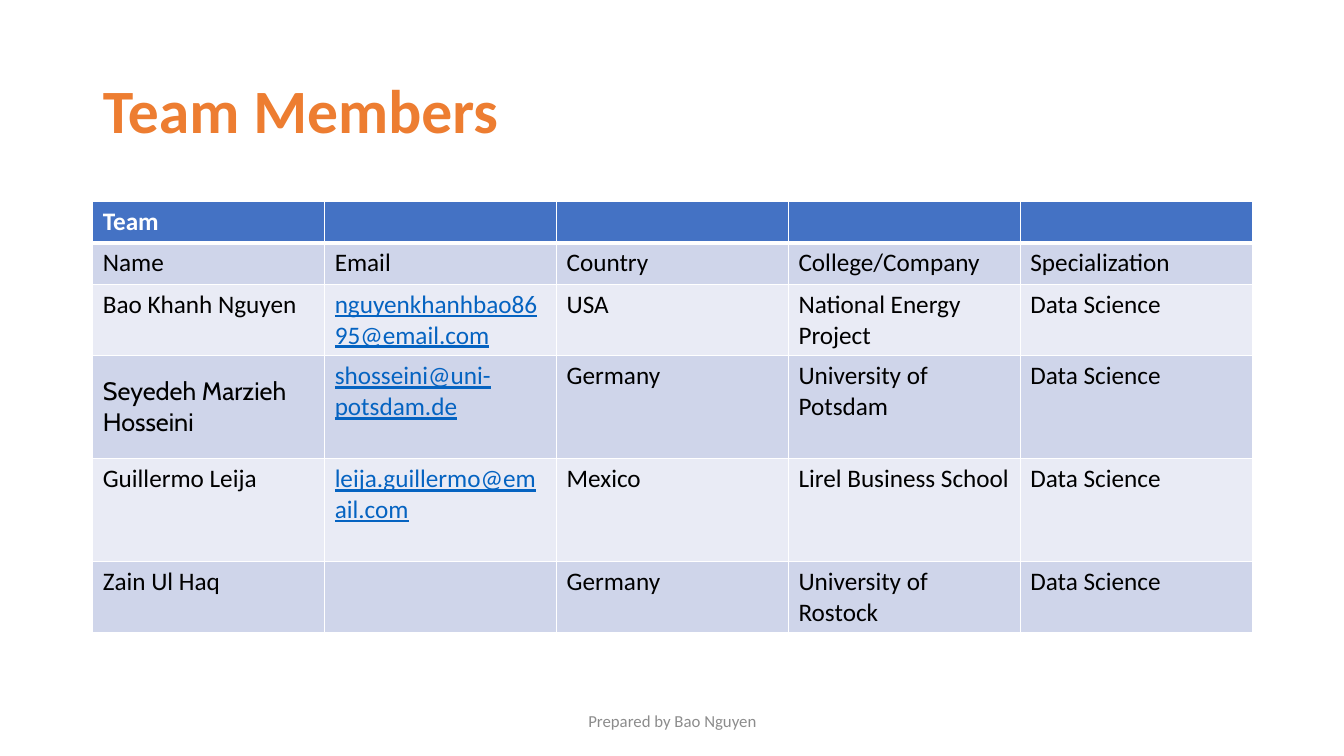
from lxml.etree import SubElement
from pptx import Presentation
from pptx.dml.color import RGBColor
from pptx.enum.text import MSO_ANCHOR, PP_ALIGN
from pptx.oxml.ns import qn
from pptx.util import Inches, Pt

COLORS = {
    "title": "ED7D31", "header": "4472C4", "band_dark": "CFD5EA",
    "band_light": "E9EBF5", "white": "FFFFFF", "text": "000000",
    "email": "0563C1", "footer": "8C8C8C",
}
TEAM = [
    ["Team", "", "", "", ""],
    ["Name", "Email", "Country", "College/Company", "Specialization"],
    ["Bao Khanh Nguyen", "nguyenkhanhbao8695@email.com", "USA",
     "National Energy Project", "Data Science"],
    ["Seyedeh Marzieh\nHosseini", "shosseini@uni-potsdam.de", "Germany",
     "University of Potsdam", "Data Science"],
    ["Guillermo Leija", "leija.guillermo@email.com", "Mexico",
     "Lirel Business School", "Data Science"],
    ["Zain Ul Haq", "", "Germany", "University of Rostock", "Data Science"],
]
ROW_HEIGHTS = [0.41, 0.41, 0.7, 1.02, 1.02, 0.7]
COLUMN_WIDTH = 2.3


def add_text(paragraph, text, size, color, font="Calibri", bold=False, underline=False):
    """Add text to a paragraph, one run per line."""
    for number, line in enumerate(text.split("\n")):
        if number:
            paragraph.add_line_break()
        run = paragraph.add_run()
        run.text = line
        run.font.name = font
        run.font.size = Pt(size)
        run.font.bold = bold
        run.font.underline = underline
        run.font.color.rgb = RGBColor.from_string(COLORS[color])


def add_borders(cell, bottom_width, top_width):
    """Draw white lines around a table cell."""
    properties = cell._tc.get_or_add_tcPr()
    widths = {"a:lnL": 1, "a:lnR": 1, "a:lnT": top_width, "a:lnB": bottom_width}
    for tag, width in widths.items():
        line = SubElement(properties, qn(tag), w=str(Pt(width)))
        fill = SubElement(line, qn("a:solidFill"))
        SubElement(fill, qn("a:srgbClr"), val=COLORS["white"])


presentation = Presentation()
presentation.slide_width = Inches(13.33)
presentation.slide_height = Inches(7.5)
slide = presentation.slides.add_slide(presentation.slide_layouts[5])

# Title
title = slide.shapes.title
title.left, title.top = Inches(0.92), Inches(0.4)
title.width, title.height = Inches(11.5), Inches(1.45)
title.text_frame.vertical_anchor = MSO_ANCHOR.MIDDLE
paragraph = title.text_frame.paragraphs[0]
paragraph.alignment = PP_ALIGN.LEFT
paragraph.line_spacing = 0.9
add_text(paragraph, "Team Members", 44, "title", bold=True)

# Team table
table = slide.shapes.add_table(
    len(TEAM), len(TEAM[0]), Inches(0.92), Inches(2),
    Inches(COLUMN_WIDTH * len(TEAM[0])), Inches(sum(ROW_HEIGHTS))).table
for column in table.columns:
    column.width = Inches(COLUMN_WIDTH)
for row_number, (values, height) in enumerate(zip(TEAM, ROW_HEIGHTS)):
    table.rows[row_number].height = Inches(height)
    is_header = row_number == 0
    band = "header" if is_header else "band_dark" if row_number % 2 else "band_light"
    for column_number, value in enumerate(values):
        cell = table.cell(row_number, column_number)
        add_borders(cell, 3 if is_header else 1, 3 if row_number == 1 else 1)
        cell.fill.solid()
        cell.fill.fore_color.rgb = RGBColor.from_string(COLORS[band])
        paragraph = cell.text_frame.paragraphs[0]
        if not value:
            paragraph.font.size = Pt(18)
            continue
        is_email = "@" in value
        is_two_line_name = "\n" in value
        if is_two_line_name:
            cell.vertical_anchor = MSO_ANCHOR.MIDDLE
        color = "white" if is_header else "email" if is_email else "text"
        add_text(paragraph, value, 18, color, "Cabin" if is_two_line_name else "Calibri",
                 bold=is_header, underline=is_email)

# Footer
footer = slide.shapes.add_textbox(Inches(4.42), Inches(6.95), Inches(4.5), Inches(0.4))
footer.text_frame.word_wrap = True
footer.text_frame.vertical_anchor = MSO_ANCHOR.MIDDLE
paragraph = footer.text_frame.paragraphs[0]
paragraph.alignment = PP_ALIGN.CENTER
add_text(paragraph, "Prepared by Bao Nguyen", 12, "footer")

presentation.save("out.pptx")
